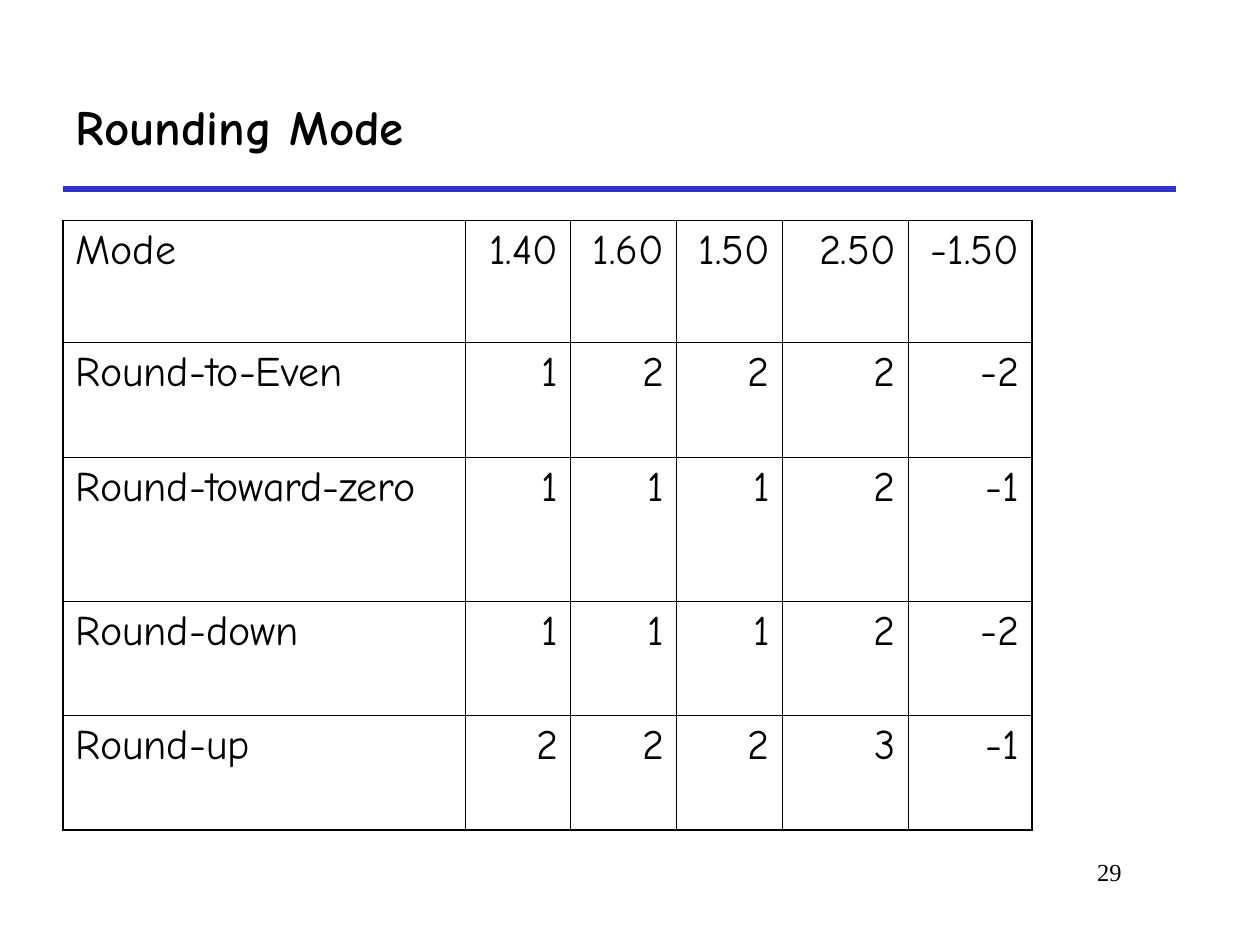
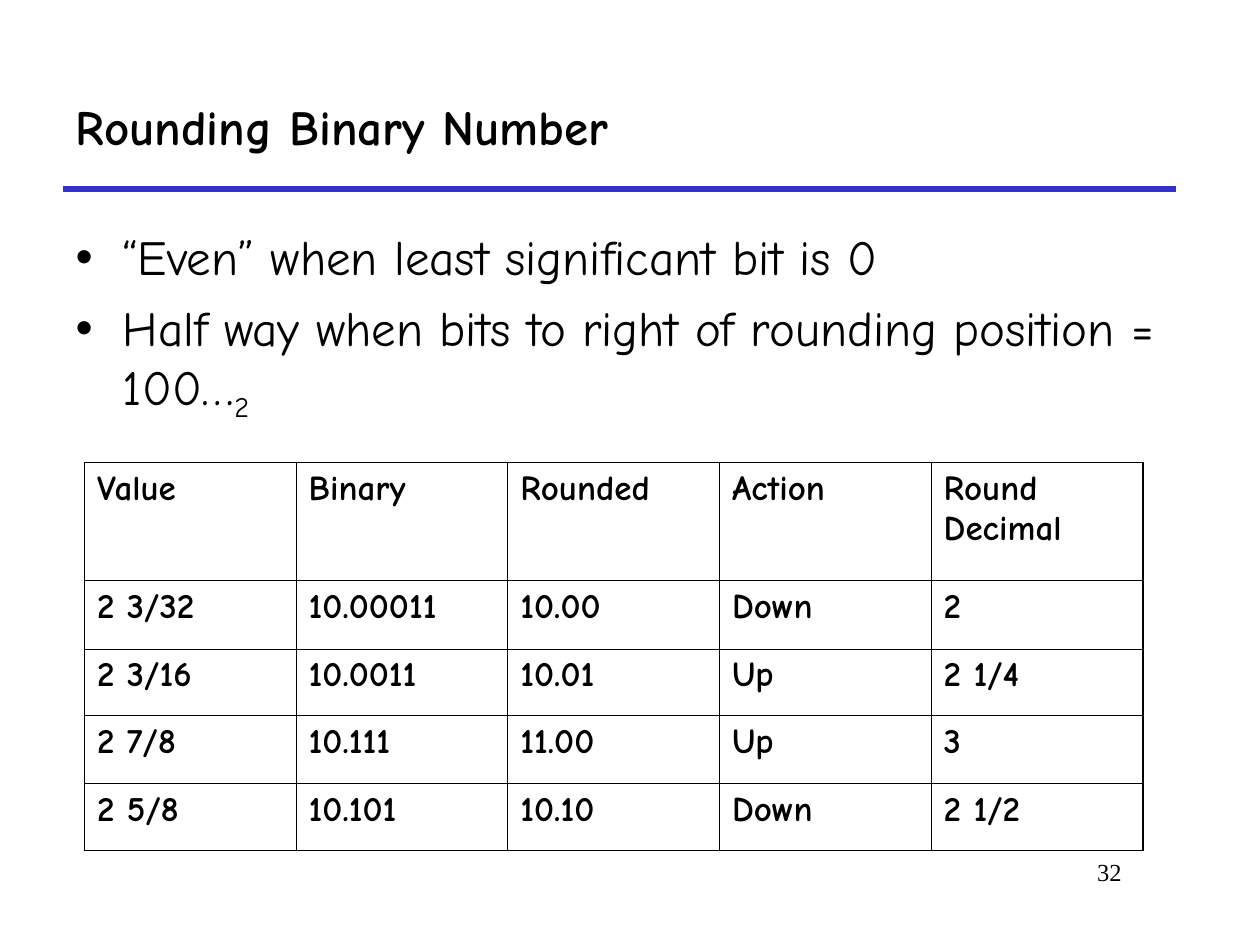
from lxml.etree import SubElement
from pptx import Presentation
from pptx.dml.color import RGBColor
from pptx.enum.shapes import MSO_CONNECTOR
from pptx.enum.text import MSO_ANCHOR, MSO_AUTO_SIZE, PP_ALIGN
from pptx.oxml.ns import qn
from pptx.util import Inches, Pt

BLACK = RGBColor(0x00, 0x00, 0x00)
BLUE = RGBColor(0x33, 0x33, 0xCC)
HAND = "Comic Neue"
SERIF = "Times New Roman"
TITLE_ONLY, TITLE_AND_BODY = 5, 1
INNER_BORDER, OUTER_BORDER = Pt(0.45), Pt(1.08)


class Deck:
    def __init__(self):
        self.presentation = Presentation()
        self.presentation.slide_width = Inches(10)
        self.presentation.slide_height = Inches(7.5)
        self.slide = None

    def start_slide(self, heading, number, layout):
        layouts = self.presentation.slide_layouts
        self.slide = self.presentation.slides.add_slide(layouts[layout])
        self.rule()
        self.page_number(number)
        self.title(heading)

    def place(self, shape, left, top, width, height):
        shape.left, shape.top = Inches(left), Inches(top)
        shape.width, shape.height = Inches(width), Inches(height)

    def frame(self, shape, anchor=MSO_ANCHOR.TOP):
        text = shape.text_frame
        text.word_wrap = True
        text.auto_size = MSO_AUTO_SIZE.NONE
        text.vertical_anchor = anchor
        text.margin_left = text.margin_right = Inches(0.1)
        text.margin_top = text.margin_bottom = Inches(0.05)
        return text

    def add_text(self, paragraph, words, size, font=HAND, bold=False,
                 align=PP_ALIGN.LEFT, before=0):
        paragraph.alignment = align
        paragraph.space_before = Pt(before)
        run = paragraph.add_run()
        run.text = words
        run.font.name = font
        run.font.size = Pt(size)
        run.font.bold = bold
        run.font.color.rgb = BLACK
        return run

    def rule(self):
        line = self.slide.shapes.add_connector(
            MSO_CONNECTOR.STRAIGHT, Inches(0.5), Inches(1.5), Inches(9.33), Inches(1.5))
        line.line.color.rgb = BLUE
        line.line.width = Pt(3)
        SubElement(line._element.spPr, qn("a:effectLst"))

    def page_number(self, number):
        footer = self.slide.shapes.add_textbox(
            Inches(7.58), Inches(6.75), Inches(1.42), Inches(0.5))
        self.add_text(self.frame(footer).paragraphs[0], number, 14, SERIF,
                      align=PP_ALIGN.RIGHT)

    def title(self, heading):
        title = self.slide.shapes.title
        self.place(title, 0.5, 0.5, 8.83, 1)
        text = self.frame(title, MSO_ANCHOR.MIDDLE)
        self.add_text(text.paragraphs[0], heading, 28, bold=True)

    def bullets(self, items):
        body = self.slide.placeholders[1]
        self.place(body, 0.5, 1.75, 8.83, 1.83)
        text = self.frame(body)
        for index, (words, subscript) in enumerate(items):
            paragraph = text.add_paragraph() if index else text.paragraphs[0]
            self.add_text(paragraph, words, 28, before=7)
            if subscript:
                run = self.add_text(paragraph, subscript, 28, before=7)
                run._r.get_or_add_rPr().set("baseline", "-25000")

    def borders(self, cell, edges):
        properties = cell._tc.get_or_add_tcPr()
        for side, outer in edges:
            width = OUTER_BORDER if outer else INNER_BORDER
            line = SubElement(properties, qn(f"a:ln{side}"), w=str(int(width)))
            fill = SubElement(line, qn("a:solidFill"))
            SubElement(fill, qn("a:srgbClr"), val=str(BLACK))

    def table(self, left, top, widths, heights, rows, size, before, bold=False,
              number_align=PP_ALIGN.LEFT):
        grid = self.slide.shapes.add_table(
            len(heights), len(widths), Inches(left), Inches(top),
            Inches(sum(widths)), Inches(sum(heights))).table
        grid.first_row = grid.horz_banding = False
        for column, width in zip(grid.columns, widths):
            column.width = Inches(width)
        last_row, last_column = len(heights) - 1, len(widths) - 1
        for r, (height, entries) in enumerate(zip(heights, rows)):
            grid.rows[r].height = Inches(height)
            for c, entry in enumerate(entries):
                cell = grid.cell(r, c)
                self.borders(cell, (("L", c == 0), ("R", c == last_column),
                                    ("T", r == 0), ("B", r == last_row)))
                cell.fill.background()
                align = number_align if c else PP_ALIGN.LEFT
                self.add_text(cell.text_frame.paragraphs[0], entry, size,
                              bold=bold, align=align, before=before)


deck = Deck()

deck.start_slide("Rounding Mode", "29", TITLE_ONLY)
rounding_modes = [
    ("Mode", "1.40", "1.60", "1.50", "2.50", "-1.50"),
    ("Round-to-Even", "1", "2", "2", "2", "-2"),
    ("Round-toward-zero", "1", "1", "1", "2", "-1"),
    ("Round-down", "1", "1", "1", "2", "-2"),
    ("Round-up", "2", "2", "2", "3", "-1"),
]
deck.table(0.5, 1.75, [3.19, 0.84, 0.84, 0.84, 1, 0.98],
           [0.97, 0.91, 1.14, 0.91, 0.91], rounding_modes,
           size=24, before=6, number_align=PP_ALIGN.RIGHT)

deck.start_slide("Rounding Binary Number", "32", TITLE_AND_BODY)
deck.bullets([
    ("“Even” when least significant bit is 0", ""),
    ("Half way when bits to right of rounding position = 100…", "2"),
])
binary_examples = [
    ("Value", "Binary", "Rounded", "Action", "Round Decimal"),
    ("2 3/32", "10.00011", "10.00", "Down", "2"),
    ("2 3/16", "10.0011", "10.01", "Up", "2 1/4"),
    ("2 7/8", "10.111", "11.00", "Up", "3"),
    ("2 5/8", "10.101", "10.10", "Down", "2 1/2"),
]
deck.table(0.67, 3.67, [1.68] * 5, [0.94, 0.54, 0.53, 0.54, 0.53],
           binary_examples, size=20, before=5, bold=True)

deck.presentation.save("out.pptx")
